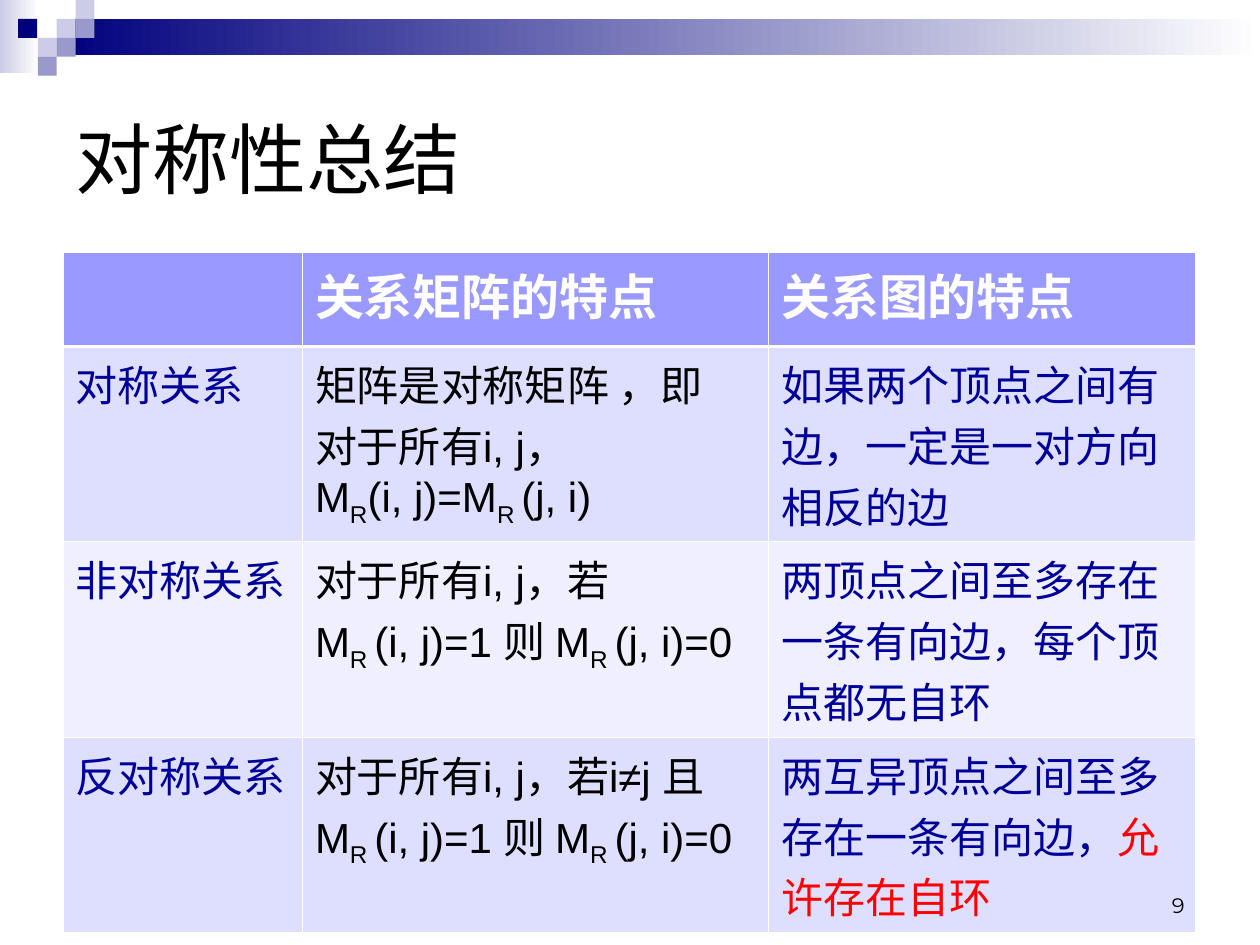
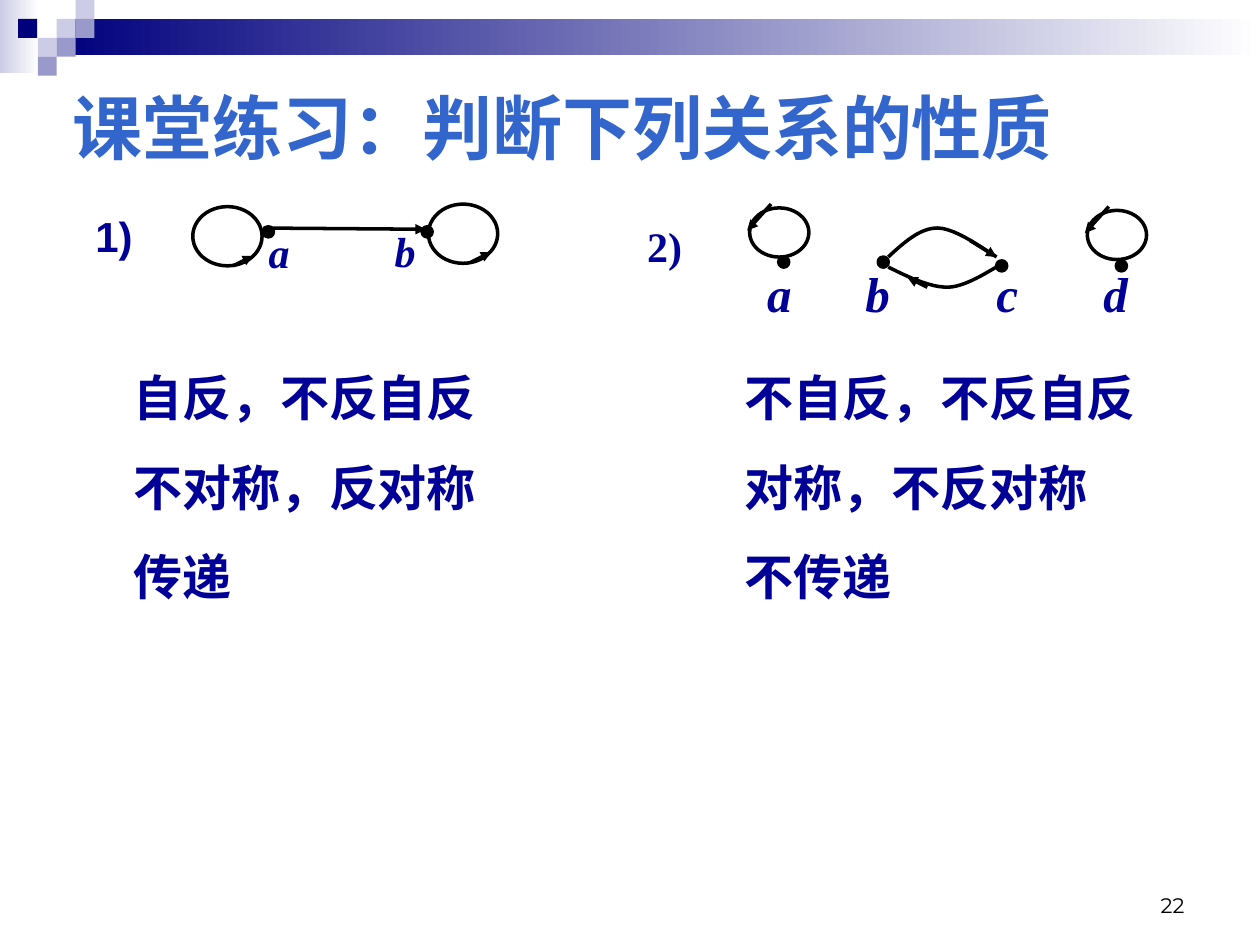
from lxml import etree
from pptx import Presentation
from pptx import util as u
from pptx.dml.color import RGBColor
from pptx.enum import shapes, text
from pptx.oxml import ns

WHITE = RGBColor(0xFF, 0xFF, 0xFF)
BLACK = RGBColor(0, 0, 0)
RED = RGBColor(0xFF, 0, 0)
NAVY = RGBColor(0, 0, 0x7D)
INK = RGBColor(0, 0, 0x99)
TITLE_BLUE = RGBColor(0x33, 0x66, 0xCC)
PALE = RGBColor(0xCC, 0xCC, 0xE6)
MUTED = RGBColor(0x99, 0x99, 0xCC)
HEADER = RGBColor(0x99, 0x99, 0xFF)
BAND_DARK = RGBColor(0xDE, 0xDE, 0xFF)
BAND_LIGHT = RGBColor(0xEF, 0xEF, 0xFF)

SANS = "Arial"
SERIF = "Times New Roman"
NUMBER_FONT = "Montserrat"

SQUARE = 0.15
SQUARES = [(3, 1, PALE), (4, 0, PALE), (4, 1, MUTED), (2, 2, PALE),
           (0.96, 1, NAVY), (3, 2, MUTED), (2, 3, MUTED)]

SYMMETRY_ROWS = [
    ["", "关系矩阵的特点", "关系图的特点"],
    ["对称关系", "矩阵是对称矩阵 ，即\n对于所有i, j，\nM_R_(i, j)=M_R _(j, i)",
     "如果两个顶点之间有边，一定是一对方向相反的边"],
    ["非对称关系", "对于所有i, j，若\nM_R _(i, j)=1 则 M_R _(j, i)=0",
     "两顶点之间至多存在一条有向边，每个顶点都无自环"],
    ["反对称关系", "对于所有i, j，若i≠j 且\nM_R _(i, j)=1 则 M_R _(j, i)=0",
     "两互异顶点之间至多存在一条有向边，"],
]


def inches(*lengths):
    return [u.Inches(length) for length in lengths]


def style_font(font, size, color, name=SANS, bold=False, italic=False):
    font.size = u.Pt(size)
    font.name = name
    font.bold = bold
    font.italic = italic
    font.color.rgb = color


def add_text(slide, place, lines, size, color=INK, align=text.PP_ALIGN.LEFT,
             anchor=text.MSO_ANCHOR.TOP, gap=0, **font):
    frame = slide.shapes.add_textbox(*inches(*place)).text_frame
    frame.word_wrap = True
    frame.vertical_anchor = anchor
    for index, line in enumerate(lines):
        para = frame.paragraphs[0] if index == 0 else frame.add_paragraph()
        para.text = line
        para.alignment = align
        if index:
            para.space_before = u.Pt(gap)
        style_font(para.font, size, color, **font)


def add_label(slide, place, label, size, name=SERIF, italic=True):
    add_text(slide, place, [label], size, align=text.PP_ALIGN.CENTER,
             name=name, bold=True, italic=italic)


def add_block(slide, place, color, end_color=None):
    block = slide.shapes.add_shape(shapes.MSO_SHAPE.RECTANGLE, *inches(*place))
    block.shadow.inherit = False
    block.line.fill.background()
    if end_color is None:
        block.fill.solid()
        block.fill.fore_color.rgb = color
        return
    block.fill.gradient()
    block.fill.gradient_angle = 0
    for stop, shade in zip(block.fill.gradient_stops, (color, end_color)):
        stop.color.rgb = shade


def add_page(deck):
    slide = deck.slides.add_slide(deck.slide_layouts[6])
    add_block(slide, (0, 0, 0.31, 0.58), PALE, WHITE)
    add_block(slide, (0.45, 0.15, 9.55, 0.29), NAVY, WHITE)
    for column, row, color in SQUARES:
        add_block(slide, (column * SQUARE, row * SQUARE, SQUARE, SQUARE), color)
    return slide


def add_page_number(slide, number):
    add_text(slide, (7.17, 6.83, 2.33, 0.5), [str(number)], 12, BLACK,
             align=text.PP_ALIGN.RIGHT, anchor=text.MSO_ANCHOR.BOTTOM,
             name=NUMBER_FONT)


def set_border(cell, side, width):
    border = etree.SubElement(cell._tc.get_or_add_tcPr(), ns.qn("a:" + side),
                              w=str(u.Pt(width)))
    fill = etree.SubElement(border, ns.qn("a:solidFill"))
    etree.SubElement(fill, ns.qn("a:srgbClr"), val=str(WHITE))


def write_formula(para, line):
    for index, part in enumerate(line.split("_")):
        span = para.add_run()
        span.text = part
        if index % 2:
            span.font._element.set("baseline", "-25000")


def fill_cell(cell, content, row, column):
    top = 1.5 if row == 1 else 0.45
    bottom = 1.5 if row == 0 else 0.45
    for side, width in (("lnL", 0.45), ("lnR", 0.45), ("lnT", top), ("lnB", bottom)):
        set_border(cell, side, width)
    cell.fill.solid()
    cell.fill.fore_color.rgb = (HEADER if row == 0
                                else BAND_DARK if row % 2 else BAND_LIGHT)
    frame = cell.text_frame
    for index, line in enumerate(content.split("\n")):
        para = frame.paragraphs[0] if index == 0 else frame.add_paragraph()
        if line:
            write_formula(para, line)
        if row == 0:
            style_font(para.font, 28, WHITE, bold=True)
        else:
            style_font(para.font, 24, BLACK if column == 1 else INK)


def add_symmetry_table(slide):
    table = slide.shapes.add_table(4, 3, *inches(0.5, 2, 8.99, 5.4)).table
    table.first_row = False
    table.horz_banding = False
    for column, width in zip(table.columns, (1.9, 3.7, 3.39)):
        column.width = u.Inches(width)
    for row, height in zip(table.rows, (0.75, 1.55, 1.55, 1.55)):
        row.height = u.Inches(height)
    for row, contents in enumerate(SYMMETRY_ROWS):
        for column, content in enumerate(contents):
            fill_cell(table.cell(row, column), content, row, column)
    exception = table.cell(3, 2).text_frame.paragraphs[0].add_run()
    exception.text = "允许存在自环"
    exception.font.color.rgb = RED


def style_line(line):
    line.color.rgb = BLACK
    line.width = u.Pt(2)


def add_oval(slide, left, top, width, height, filled=False):
    oval = slide.shapes.add_shape(shapes.MSO_SHAPE.OVAL,
                                  *inches(left, top, width, height))
    oval.shadow.inherit = False
    style_line(oval.line)
    if filled:
        oval.fill.solid()
        oval.fill.fore_color.rgb = BLACK
    else:
        oval.fill.background()


def add_vertex(slide, left, top):
    add_oval(slide, left, top, 0.08, 0.08, filled=True)


def add_arrow(slide, *ends):
    arrow = slide.shapes.add_connector(shapes.MSO_CONNECTOR.STRAIGHT, *inches(*ends))
    style_line(arrow.line)
    etree.SubElement(arrow.line._get_or_add_ln(), ns.qn("a:tailEnd"), type="triangle")
    etree.SubElement(arrow._element.spPr, ns.qn("a:effectLst"))


def bezier_points(start, first, second, end, steps=12):
    for step in range(1, steps + 1):
        t = step / steps
        weights = ((1 - t) ** 3, 3 * t * (1 - t) ** 2, 3 * t * t * (1 - t), t ** 3)
        yield inches(*(sum(w * p[axis] for w, p in zip(weights, (start, first, second, end)))
                       for axis in (0, 1)))


def add_curve(slide, *knots):
    points = [point for index in range(0, len(knots) - 1, 3)
              for point in bezier_points(*knots[index:index + 4])]
    builder = slide.shapes.build_freeform(*inches(*knots[0]))
    builder.add_line_segments(points, close=False)
    curve = builder.convert_to_shape()
    curve.shadow.inherit = False
    curve.fill.background()
    style_line(curve.line)


def add_first_graph(slide):
    for left in (2.09, 3.35):
        add_vertex(slide, left, 1.8)
    add_arrow(slide, 2.09, 1.81, 3.38, 1.82)
    for left, top in ((1.53, 1.64), (3.4, 1.62)):
        add_oval(slide, left, top, 0.55, 0.47)
    add_arrow(slide, 1.85, 2.11, 2.01, 2.03)
    add_arrow(slide, 3.74, 2.08, 3.9, 2)
    add_label(slide, (1.9, 1.75, 0.63, 0.5), "a", 24)
    add_label(slide, (2.92, 1.74, 0.59, 0.5), "b", 24)


def add_second_graph(slide):
    for left, top in ((6.18, 2.04), (6.97, 2.04), (7.91, 2.07), (8.86, 2.07)):
        add_vertex(slide, left, top)
    for left, top in ((5.95, 1.65), (8.63, 1.67)):
        add_oval(slide, left, top, 0.47, 0.39)
        add_arrow(slide, left + 0.17, top - 0.03, left - 0.02, top + 0.18)
    add_curve(slide, (7.05, 2.04), (7.17, 1.93), (7.3, 1.81), (7.44, 1.81),
              (7.59, 1.81), (7.84, 2), (7.91, 2.04))
    add_curve(slide, (7.05, 2.12), (7.21, 2.2), (7.38, 2.28), (7.52, 2.28),
              (7.66, 2.28), (7.85, 2.15), (7.91, 2.12))
    add_arrow(slide, 7.7, 1.91, 7.91, 2.04)
    add_arrow(slide, 7.36, 2.28, 7.2, 2.2)
    for label, left in zip("abcd", (5.87, 6.65, 7.68, 8.54)):
        add_label(slide, (left, 2.04, 0.63, 0.57), label, 28)


def add_answers(slide, left, width, answers):
    add_text(slide, (left, 2.87, width, 1.99), answers, 28, gap=17.5, bold=True)


def build_summary(deck):
    slide = add_page(deck)
    add_text(slide, (0.5, 0.5, 9, 1.5), ["对称性总结"], 44, BLACK,
             anchor=text.MSO_ANCHOR.MIDDLE)
    add_symmetry_table(slide)
    add_page_number(slide, 9)


def build_exercise(deck):
    slide = add_page(deck)
    add_page_number(slide, 22)
    add_text(slide, (0.48, 0.62, 8.88, 0.77), ["课堂练习：判断下列关系的性质"],
             40, TITLE_BLUE, bold=True)
    add_first_graph(slide)
    add_label(slide, (0.51, 1.62, 0.79, 0.5), "1)", 24, name=SANS, italic=False)
    add_label(slide, (4.92, 1.7, 0.71, 0.5), "2)", 24, italic=False)
    add_second_graph(slide)
    add_answers(slide, 0.96, 3.15, ["自反，不反自反", "不对称，反对称", "传递"])
    add_answers(slide, 5.81, 3.62, ["不自反，不反自反", "对称，不反对称", "不传递"])


def main():
    deck = Presentation()
    deck.slide_width, deck.slide_height = inches(10, 7.5)
    build_summary(deck)
    build_exercise(deck)
    deck.save("out.pptx")


if __name__ == "__main__":
    main()
